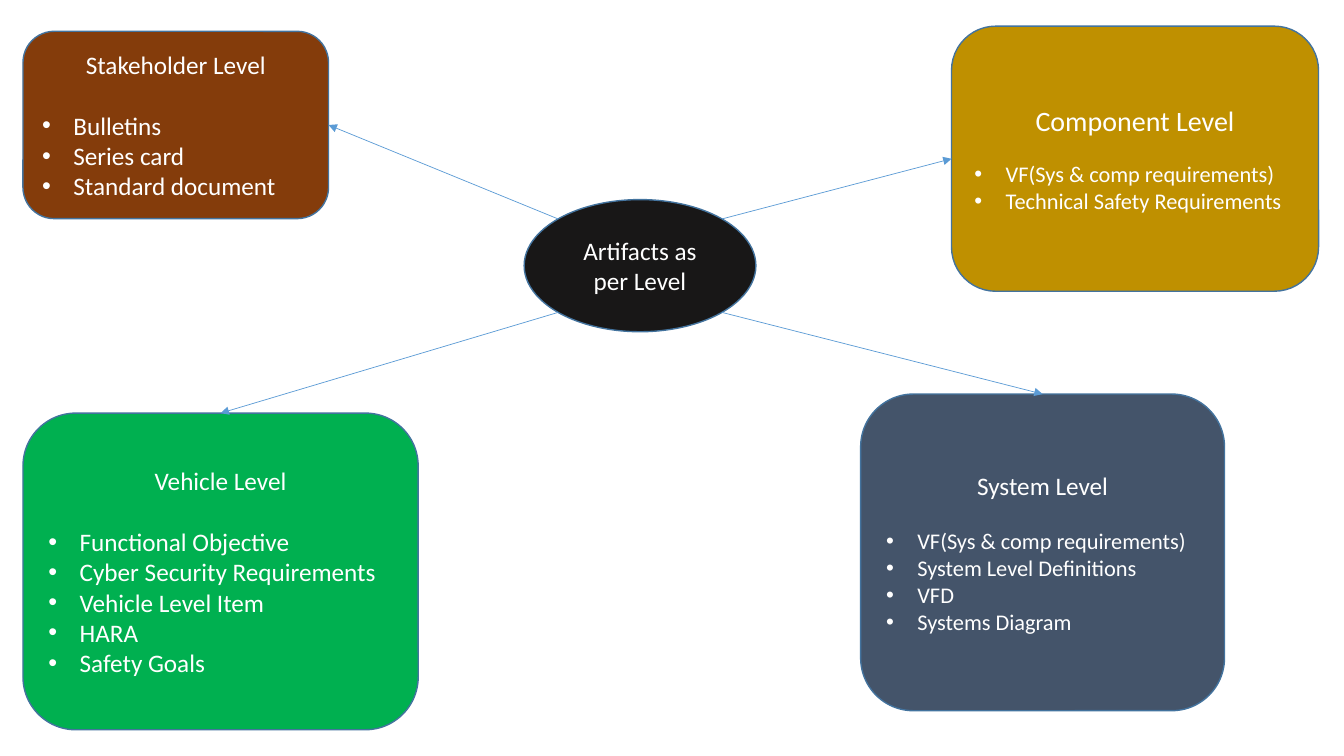
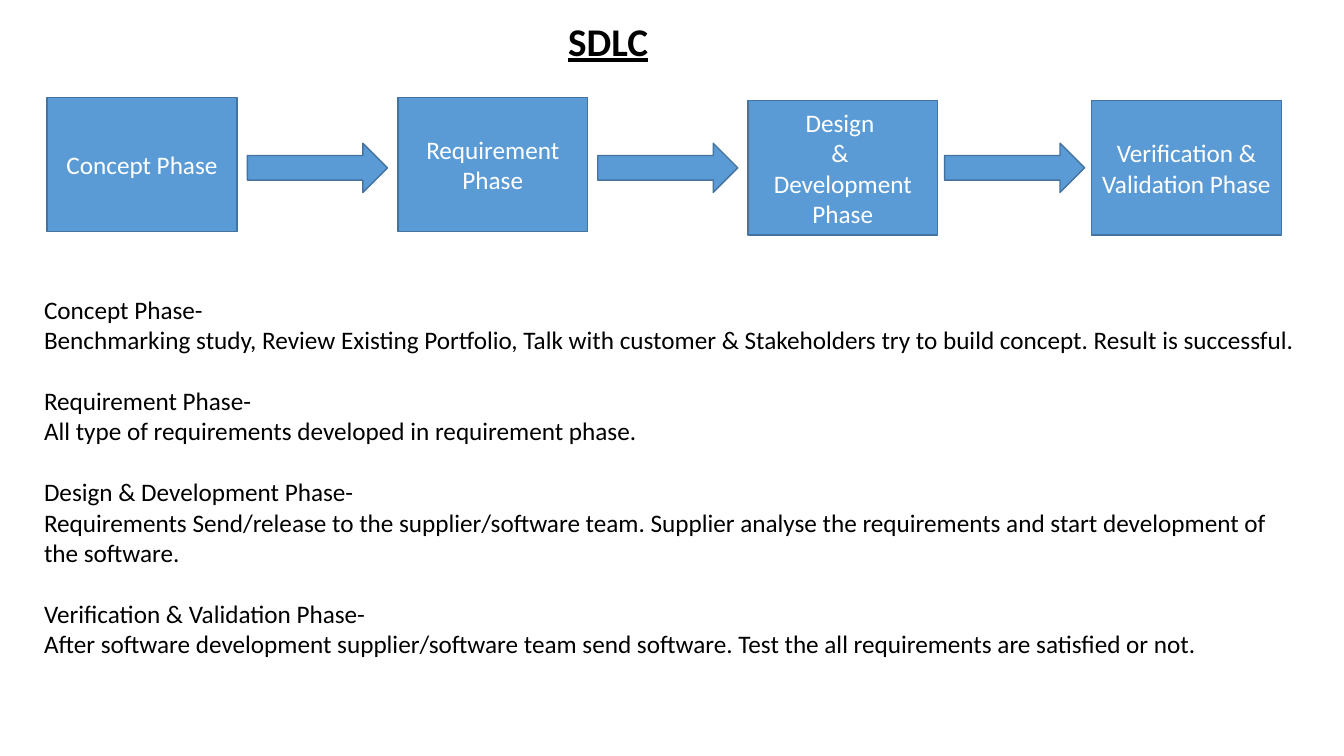
from dataclasses import dataclass
from math import copysign, sqrt

from lxml.etree import SubElement
from pptx import Presentation
from pptx.dml.color import RGBColor
from pptx.enum.shapes import MSO_CONNECTOR as Link, MSO_SHAPE as Geo
from pptx.enum.text import MSO_ANCHOR as Anchor, PP_ALIGN as Align
from pptx.oxml.ns import qn
from pptx.shapes.autoshape import Shape
from pptx.slide import Slide
from pptx.text.text import _Paragraph as Para
from pptx.util import Cm, Pt

FONT = "Calibri"
WHITE = RGBColor(0xFF, 0xFF, 0xFF)
BLACK = RGBColor(0x00, 0x00, 0x00)
INK = RGBColor(0x18, 0x17, 0x17)
BROWN = RGBColor(0x84, 0x3C, 0x0B)
GREEN = RGBColor(0x00, 0xB0, 0x50)
SLATE = RGBColor(0x44, 0x54, 0x6A)
GOLD = RGBColor(0xBF, 0x90, 0x00)
BLUE = RGBColor(0x5B, 0x9B, 0xD5)
EDGE = RGBColor(0x43, 0x73, 0x9E)

TOP, LEFT = 0, 1
RIGHT = 3
INDENT = Cm(0.79)


@dataclass(frozen=True)
class Area:
    """A rectangle in centimetres."""
    x: float
    y: float
    w: float
    h: float


@dataclass(frozen=True)
class Level:
    name: str
    items: list[str]
    area: Area
    fill: RGBColor
    site: int
    head: int = 18
    size: int = 18
    gap: float = 22


@dataclass(frozen=True)
class Phase:
    lines: list[str]
    x: float
    y: float
    title: str
    text: str


HUB = Area(13.21, 5.03, 5.84, 3.33)
LEVELS = [
    Level("Stakeholder Level", ["Bulletins", "Series card", "Standard document"],
          Area(0.58, 0.79, 7.7, 4.72), BROWN, RIGHT),
    Level("Vehicle Level",
          ["Functional Objective", "Cyber Security Requirements",
           "Vehicle Level Item", "HARA", "Safety Goals"],
          Area(0.58, 10.41, 9.96, 7.98), GREEN, TOP),
    Level("System Level",
          ["VF(Sys & comp requirements)", "System Level Definitions",
           "VFD", "Systems Diagram"],
          Area(21.69, 9.93, 9.17, 7.98), SLATE, TOP, size=16, gap=19.5),
    Level("Component Level",
          ["VF(Sys & comp requirements)", "Technical Safety Requirements"],
          Area(23.98, 0.66, 9.25, 6.68), GOLD, LEFT, head=20, size=16, gap=17),
]

BOX_W, BOX_H = 4.78, 3.38
ARROW_W, ARROW_H, ARROW_Y = 3.53, 1.24, 3.61
PHASES = [
    Phase(["Concept Phase"], 1.19, 2.46, "Concept Phase-",
          "Benchmarking study, Review Existing Portfolio, Talk with customer & "
          "Stakeholders try to build concept. Result is successful."),
    Phase(["Requirement Phase"], 10.03, 2.46, "Requirement Phase-",
          "All type of requirements developed in requirement phase."),
    Phase(["Design ", "& ", "Development Phase"], 18.85, 2.54,
          "Design & Development Phase-",
          "Requirements Send/release to the supplier/software team. Supplier "
          "analyse the requirements and start development of the software."),
    Phase(["Verification & Validation Phase"], 27.51, 2.54,
          "Verification & Validation Phase-",
          "After software development supplier/software team send software. "
          "Test the all requirements are satisfied or not."),
]


def place(area: Area) -> tuple[Cm, Cm, Cm, Cm]:
    return Cm(area.x), Cm(area.y), Cm(area.w), Cm(area.h)


def style(para: Para, size: int, color: RGBColor) -> None:
    para.font.name = FONT
    para.font.size = Pt(size)
    para.font.color.rgb = color


def write(shape: Shape, lines: list[str], size: int, color: RGBColor,
          align: Align = Align.LEFT) -> list[Para]:
    """Fill the shape with one paragraph a line."""
    frame = shape.text_frame
    frame.word_wrap = True
    frame.text = "\n".join(lines)
    for para in frame.paragraphs:
        para.alignment = align
        style(para, size, color)
    return list(frame.paragraphs)


def add_form(slide: Slide, geo: Geo, area: Area, fill: RGBColor) -> Shape:
    form = slide.shapes.add_shape(geo, *place(area))
    form.shadow.inherit = False
    form.fill.solid()
    form.fill.fore_color.rgb = fill
    form.line.color.rgb = EDGE
    form.line.width = Pt(1)
    form.text_frame.vertical_anchor = Anchor.MIDDLE
    return form


def add_bullet(para: Para) -> None:
    props = para._p.get_or_add_pPr()
    props.set("marL", str(INDENT))
    props.set("indent", str(-INDENT))
    font = SubElement(props, qn("a:buFont"), typeface="Arial")
    mark = SubElement(props, qn("a:buChar"), char="•")
    props.insert(0, font)
    font.addnext(mark)


def add_level(slide: Slide, level: Level) -> Shape:
    form = add_form(slide, Geo.ROUNDED_RECTANGLE, level.area, level.fill)
    head, *items = write(form, [level.name, *level.items], level.size, WHITE)
    head.alignment = Align.CENTER
    head.font.size = Pt(level.head)
    for item in items:
        add_bullet(item)
    head.space_after = Pt(level.gap)
    return form


def add_spoke(slide: Slide, form: Shape, level: Level) -> None:
    """Point from the hub's nearest diagonal point to the level's box."""
    mid_x, mid_y = HUB.x + HUB.w / 2, HUB.y + HUB.h / 2
    area = level.area
    reach = 1 / sqrt(8)
    x = mid_x + copysign(HUB.w * reach, area.x + area.w / 2 - mid_x)
    y = mid_y + copysign(HUB.h * reach, area.y + area.h / 2 - mid_y)
    spoke = slide.shapes.add_connector(Link.STRAIGHT, Cm(x), Cm(y), Cm(x), Cm(y))
    spoke.end_connect(form, level.site)
    spoke.line.color.rgb = BLUE
    spoke.line.width = Pt(0.5)
    SubElement(spoke.line._get_or_add_ln(), qn("a:tailEnd"), type="triangle")
    SubElement(spoke._element.spPr, qn("a:effectLst"))


def draw_levels(slide: Slide) -> None:
    hub = add_form(slide, Geo.OVAL, HUB, INK)
    write(hub, ["Artifacts as per Level"], 18, WHITE, Align.CENTER)
    forms = [add_level(slide, level) for level in LEVELS]
    for form, level in zip(forms, LEVELS):
        add_spoke(slide, form, level)


def draw_phases(slide: Slide) -> None:
    title = slide.shapes.add_textbox(*place(Area(14.07, 0.3, 2.79, 1.45)))
    [para] = write(title, ["SDLC"], 28, BLACK)
    para.font.bold = True
    para.font.underline = True

    for phase in PHASES:
        box = add_form(slide, Geo.RECTANGLE,
                       Area(phase.x, phase.y, BOX_W, BOX_H), BLUE)
        write(box, phase.lines, 18, WHITE, Align.CENTER)
    for prev, after in zip(PHASES, PHASES[1:]):
        x = (prev.x + BOX_W + after.x - ARROW_W) / 2
        add_form(slide, Geo.RIGHT_ARROW,
                 Area(x, ARROW_Y, ARROW_W, ARROW_H), BLUE)

    notes = slide.shapes.add_textbox(*place(Area(0.86, 7.29, 32.28, 9.5)))
    lines = [line for phase in PHASES for line in (phase.title, phase.text)]
    paras = write(notes, lines, 18, BLACK)
    for para in paras[1:-1:2]:
        para.space_after = Pt(22)


def main() -> None:
    deck = Presentation()
    deck.slide_width, deck.slide_height = Cm(33.87), Cm(19.05)
    blank = deck.slide_layouts[6]
    for draw in (draw_levels, draw_phases):
        draw(deck.slides.add_slide(blank))
    deck.save("out.pptx")


if __name__ == "__main__":
    main()
